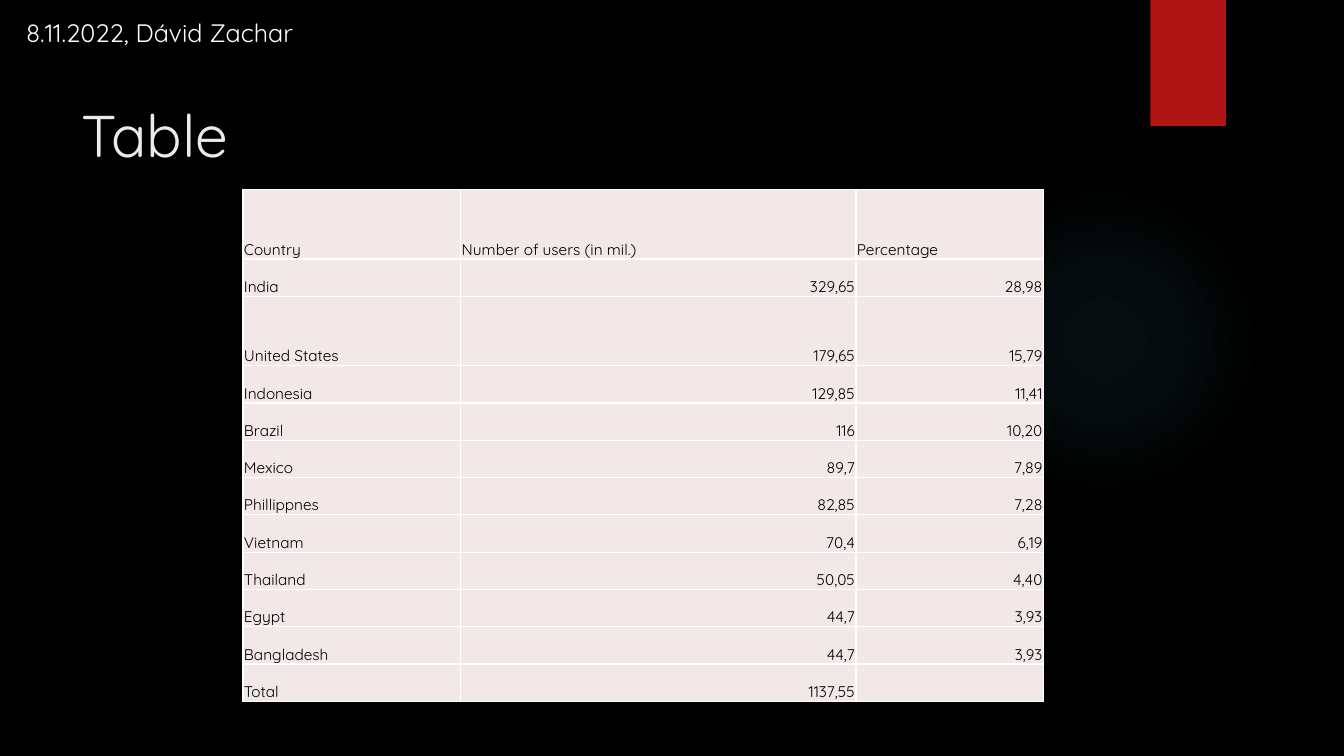
from lxml import etree
from pptx import Presentation
from pptx.dml.color import RGBColor
from pptx.enum import shapes, text
from pptx.oxml import parse_xml
from pptx.oxml.ns import nsdecls, qn
from pptx.util import Inches, Pt

# Content
DATE_AUTHOR = "8.11.2022, Dávid Zachar"
TITLE = "Table"
USERS = [
    ("Country", "Number of users (in mil.)", "Percentage"),
    ("India", "329,65", "28,98"),
    ("United States", "179,65", "15,79"),
    ("Indonesia", "129,85", "11,41"),
    ("Brazil", "116", "10,20"),
    ("Mexico", "89,7", "7,89"),
    ("Phillippnes", "82,85", "7,28"),
    ("Vietnam", "70,4", "6,19"),
    ("Thailand", "50,05", "4,40"),
    ("Egypt", "44,7", "3,93"),
    ("Bangladesh", "44,7", "3,93"),
    ("Total", "1137,55", ""),
]
COLUMN_WIDTHS = (2.16, 3.92, 1.86)
ROW_HEIGHT, TALL_ROW_HEIGHT = 0.37, 0.69
TALL_ROWS = ("Country", "United States")

# Style
FONT = "Quicksand"
BLACK = RGBColor(0x00, 0x00, 0x00)
WHITE = RGBColor(0xFF, 0xFF, 0xFF)
OFF_WHITE = RGBColor(0xEB, 0xEB, 0xEB)
RED = RGBColor(0xB0, 0x15, 0x13)
TEAL = RGBColor(0x50, 0xB9, 0xC1)
PALE_PINK = RGBColor(0xF2, 0xE8, 0xE7)
GLOW_STOPS = ((0, 7), (36, 6), (69, 0))  # position %, opacity %


def inches(*lengths):
    return [Inches(length) for length in lengths]


def write(frame, words, size, color, align=text.PP_ALIGN.LEFT):
    frame.text = words
    paragraph = frame.paragraphs[0]
    paragraph.alignment = align
    for run in paragraph.runs:
        run.font.name, run.font.size = FONT, Pt(size)
        run.font.color.rgb = color


def add_plain_shape(slide, kind, *box):
    shape = slide.shapes.add_shape(kind, *inches(*box))
    shape.shadow.inherit = False
    shape.line.fill.background()
    return shape


def add_glow(slide):
    glow = add_plain_shape(slide, shapes.MSO_SHAPE.OVAL, 9.41, 1.83, 3.08, 3.08)
    glow.fill.background()
    stops = "".join(
        f'<a:gs pos="{position * 1000}"><a:srgbClr val="{TEAL}">'
        f'<a:alpha val="{opacity * 1000}"/></a:srgbClr></a:gs>'
        for position, opacity in GLOW_STOPS)
    gradient = parse_xml(
        f'<a:gradFill {nsdecls("a")}><a:gsLst>{stops}</a:gsLst><a:path path="circle">'
        '<a:fillToRect l="50000" t="50000" r="50000" b="50000"/></a:path></a:gradFill>')
    properties = glow.element.spPr
    properties.replace(properties.find(qn("a:noFill")), gradient)


def add_ribbon(slide):
    ribbon = add_plain_shape(slide, shapes.MSO_SHAPE.RECTANGLE, 11.41, 0, 0.75, 1.25)
    ribbon.fill.solid()
    ribbon.fill.fore_color.rgb = RED
    ribbon.element.spPr.find(qn("a:effectLst")).append(parse_xml(
        f'<a:outerShdw {nsdecls("a")} blurRad="{Pt(3)}" dist="{Pt(2)}" dir="5400000">'
        f'<a:srgbClr val="{BLACK}"><a:alpha val="45000"/></a:srgbClr></a:outerShdw>'))


def add_borders(cell):
    properties = cell._tc.get_or_add_tcPr()
    for side in ("lnL", "lnR", "lnT", "lnB"):
        line = etree.SubElement(properties, qn(f"a:{side}"), w=str(Pt(1)))
        fill = etree.SubElement(line, qn("a:solidFill"))
        etree.SubElement(fill, qn("a:srgbClr"), val=str(WHITE))


def add_users_table(slide):
    heights = [TALL_ROW_HEIGHT if row[0] in TALL_ROWS else ROW_HEIGHT for row in USERS]
    table = slide.shapes.add_table(
        len(USERS), len(COLUMN_WIDTHS),
        *inches(2.41, 1.88, sum(COLUMN_WIDTHS), sum(heights))).table
    for column, width in zip(table.columns, COLUMN_WIDTHS):
        column.width = Inches(width)
    table.first_row = table.horz_banding = False
    for r, (row, height) in enumerate(zip(USERS, heights)):
        table.rows[r].height = Inches(height)
        for c, value in enumerate(row):
            cell = table.cell(r, c)
            cell.margin_left = cell.margin_right = cell.margin_top = Inches(0.01)
            cell.margin_bottom = 0
            cell.vertical_anchor = text.MSO_ANCHOR.BOTTOM
            add_borders(cell)
            cell.fill.solid()
            cell.fill.fore_color.rgb = PALE_PINK
            is_number = r > 0 and c > 0
            write(cell.text_frame, value, 11, BLACK,
                  text.PP_ALIGN.RIGHT if is_number else text.PP_ALIGN.LEFT)


def main():
    deck = Presentation()
    deck.slide_width, deck.slide_height = inches(13.33, 7.5)
    slide = deck.slides.add_slide(deck.slide_layouts[5])
    slide.background.fill.solid()
    slide.background.fill.fore_color.rgb = BLACK

    # Decoration
    add_glow(slide)
    add_ribbon(slide)

    # Date and author
    date_author = slide.shapes.add_textbox(*inches(0.16, 0.12, 3.43, 0.4))
    date_author.text_frame.word_wrap = True
    write(date_author.text_frame, DATE_AUTHOR, 18, WHITE)

    # Title
    title = slide.shapes.title
    title.left, title.top, title.width, title.height = inches(0.71, 0.93, 10.29, 1.08)
    title.text_frame.vertical_anchor = text.MSO_ANCHOR.TOP
    write(title.text_frame, TITLE, 42, OFF_WHITE)

    # Table
    add_users_table(slide)
    deck.save("out.pptx")


if __name__ == "__main__":
    main()
